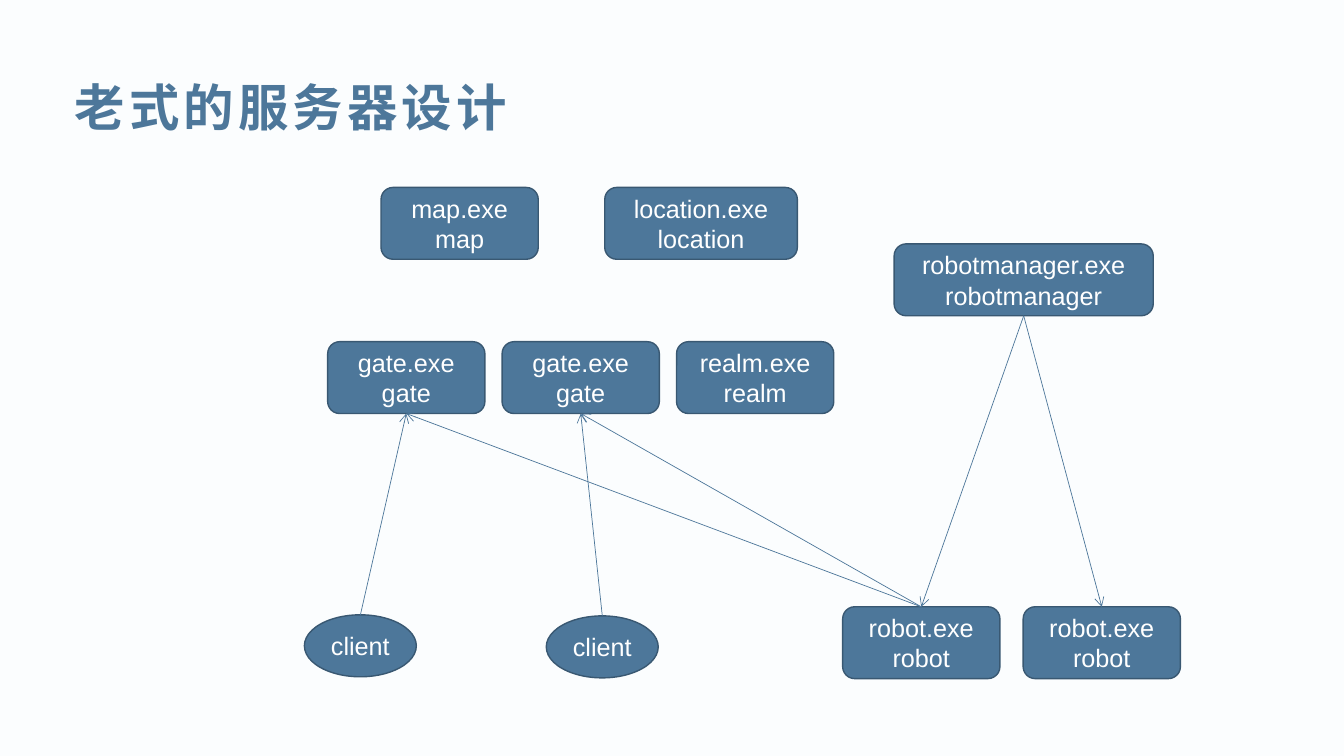
from dataclasses import dataclass

from lxml import etree
from pptx import Presentation
from pptx import util as u
from pptx.dml.color import RGBColor
from pptx.enum import shapes, text
from pptx.oxml.ns import qn


@dataclass(frozen=True)
class Theme:
    font: str = "Arial"
    background: RGBColor = RGBColor(0xFB, 0xFD, 0xFE)
    main: RGBColor = RGBColor(0x4D, 0x77, 0x9A)
    outline: RGBColor = RGBColor(0x39, 0x58, 0x72)
    label: RGBColor = RGBColor(0xFF, 0xFF, 0xFF)
    title_size: int = 36
    label_size: int = 18


THEME = Theme()
WIDTH, HEIGHT = u.Inches(13.33), u.Inches(7.5)

# Sizes and places are percentages of the slide's width and height
BOX_WIDTH, BOX_HEIGHT = 11.7, 9.5
CLIENT_WIDTH, CLIENT_HEIGHT = 8.33, 8.2
TOP, BOTTOM = 0, 2


def share(left, top, width, height):
    return (int(WIDTH * left / 100), int(HEIGHT * top / 100),
            int(WIDTH * width / 100), int(HEIGHT * height / 100))


def style_font(font, size, color, bold=False):
    font.name = THEME.font
    font.size = u.Pt(size)
    font.color.rgb = color
    font.bold = bold


def add_title(page, words):
    title = page.shapes.title
    title.left, title.top, title.width, title.height = share(4.8, 8.93, 92.1, 10.27)
    frame = title.text_frame
    frame.text = words
    frame.auto_size = text.MSO_AUTO_SIZE.NONE
    frame.vertical_anchor = text.MSO_ANCHOR.MIDDLE
    para = frame.paragraphs[0]
    para.alignment = text.PP_ALIGN.LEFT
    style_font(para.font, THEME.title_size, THEME.main, bold=True)
    # Letter spacing of 3 points
    para.runs[0].font._element.set("spc", "300")


def add_node(page, kind, lines, place):
    node = page.shapes.add_shape(kind, *share(*place))
    node.shadow.inherit = False
    node.fill.solid()
    node.fill.fore_color.rgb = THEME.main
    node.line.color.rgb = THEME.outline
    node.line.width = u.Pt(1)
    frame = node.text_frame
    frame.word_wrap = True
    frame.vertical_anchor = text.MSO_ANCHOR.MIDDLE
    frame.text = "\n".join(lines)
    for para in frame.paragraphs:
        para.alignment = text.PP_ALIGN.CENTER
        style_font(para.font, THEME.label_size, THEME.label)
    return node


def add_process(page, name, left, top, width=BOX_WIDTH):
    return add_node(page, shapes.MSO_SHAPE.ROUNDED_RECTANGLE,
                    [f"{name}.exe", name], (left, top, width, BOX_HEIGHT))


def add_process_row(page, names, left, top, pitch):
    return [add_process(page, name, left + column * pitch, top)
            for column, name in enumerate(names)]


def add_client(page, left, top):
    return add_node(page, shapes.MSO_SHAPE.OVAL, ["client"],
                    (left, top, CLIENT_WIDTH, CLIENT_HEIGHT))


def add_arrow(page, source, source_side, target, target_side):
    arrow = page.shapes.add_connector(shapes.MSO_CONNECTOR.STRAIGHT, 0, 0, 0, 0)
    arrow.begin_connect(source, source_side)
    arrow.end_connect(target, target_side)
    arrow.line.color.rgb = THEME.main
    arrow.line.width = u.Pt(0.5)
    properties = arrow._element.spPr
    etree.SubElement(properties.find(qn("a:ln")), qn("a:tailEnd"), type="arrow")
    etree.SubElement(properties, qn("a:effectLst"))


def main():
    deck = Presentation()
    deck.slide_width, deck.slide_height = WIDTH, HEIGHT
    page = deck.slides.add_slide(deck.slide_layouts.get_by_name("Title Only"))
    page.background.fill.solid()
    page.background.fill.fore_color.rgb = THEME.background
    add_title(page, "老式的服务器设计")

    # Server processes
    gate_1, gate_2, _ = add_process_row(page, ["gate", "gate", "realm"], 24.38, 45.2, 12.98)
    add_process(page, "map", 28.35, 24.8)
    add_process(page, "location", 45, 24.8, width=14.33)

    # Clients and robots
    client_1 = add_client(page, 22.65, 81.33)
    client_2 = add_client(page, 40.65, 81.47)
    robots = add_process_row(page, ["robot", "robot"], 62.7, 80.27, 13.43)
    manager = add_process(page, "robotmanager", 66.53, 32.27, width=19.28)

    # Manager starts robots; robots and clients reach the gates
    for robot in robots:
        add_arrow(page, manager, BOTTOM, robot, TOP)
    for caller, gate in ((robots[0], gate_1), (robots[0], gate_2),
                         (client_1, gate_1), (client_2, gate_2)):
        add_arrow(page, caller, TOP, gate, BOTTOM)

    deck.save("out.pptx")


if __name__ == "__main__":
    main()
